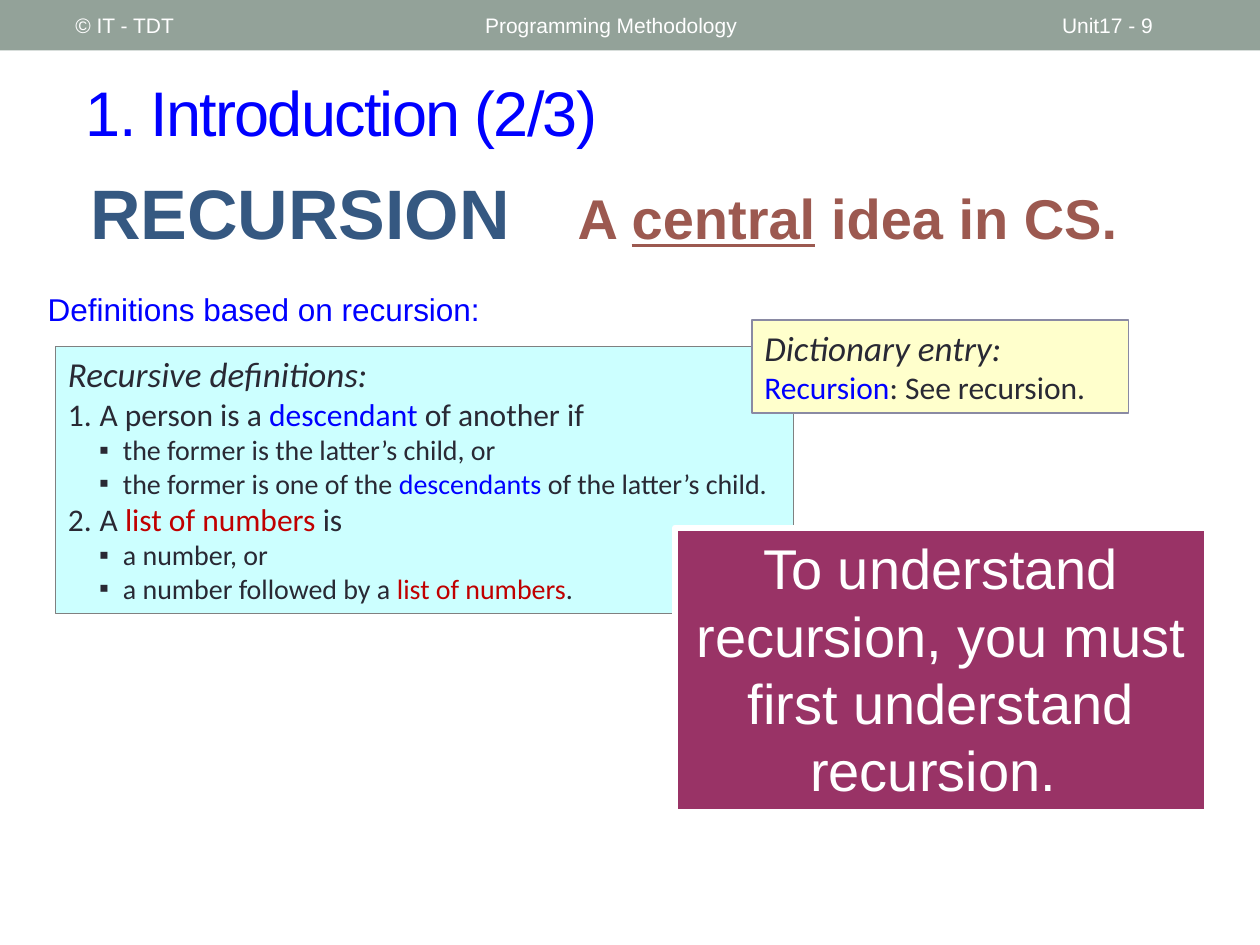
from dataclasses import dataclass

from lxml.etree import SubElement
from pptx import Presentation
from pptx.dml.color import RGBColor
from pptx.enum.shapes import MSO_SHAPE
from pptx.enum.text import MSO_ANCHOR, PP_ALIGN
from pptx.oxml.ns import qn
from pptx.util import Cm, Pt


@dataclass(frozen=True)
class Theme:
    heading: str = "Arial"
    body: str = "Calibri"
    white: str = "FFFFFF"
    bar: str = "93A299"
    blue: str = "0000FF"
    navy: str = "355881"
    brick: str = "9C5950"
    ink: str = "292934"
    red: str = "C00000"
    cyan: str = "CCFFFF"
    cyan_edge: str = "808080"
    yellow: str = "FFFFCC"
    yellow_edge: str = "8A8AA3"
    plum: str = "993366"
    header_size: int = 12
    title_size: int = 36
    topic_size: int = 40
    claim_size: int = 32
    lead_size: int = 20
    text_size: int = 18
    detail_size: int = 16


THEME = Theme()


@dataclass(frozen=True)
class Box:
    left: float
    top: float
    width: float
    height: float

    def inner(self, left, top, width, height):
        return Box(self.left + left, self.top + top, width, height)

    def lengths(self):
        return [Cm(v) for v in (self.left, self.top, self.width, self.height)]


def write(paragraph, text, size, color, font=THEME.heading, bold=False,
          italic=False, underline=False, spacing=0):
    run = paragraph.add_run()
    run.text = text
    run.font.name = font
    run.font.size = Pt(size)
    run.font.bold = bold
    run.font.italic = italic
    run.font.underline = underline
    run.font.color.rgb = RGBColor.from_string(color)
    if spacing:
        run._r.get_or_add_rPr().set("spc", str(round(spacing * 100)))


def add_panel(slide, box, fill, line=None, line_width=0.75):
    panel = slide.shapes.add_shape(MSO_SHAPE.RECTANGLE, *box.lengths())
    panel.shadow.inherit = False
    panel.fill.solid()
    panel.fill.fore_color.rgb = RGBColor.from_string(fill)
    if line:
        panel.line.color.rgb = RGBColor.from_string(line)
        panel.line.width = Pt(line_width)
    else:
        panel.line.fill.background()
    frame = panel.text_frame
    frame.word_wrap = True
    frame.vertical_anchor = MSO_ANCHOR.TOP
    frame.paragraphs[0].alignment = PP_ALIGN.LEFT
    return frame


def add_label(slide, box, anchor=MSO_ANCHOR.TOP, align=PP_ALIGN.LEFT, wrap=True):
    frame = slide.shapes.add_textbox(*box.lengths()).text_frame
    frame.word_wrap = wrap
    frame.vertical_anchor = anchor
    frame.paragraphs[0].alignment = align
    return frame.paragraphs[0]


def add_item(frame, runs, size, margin, hanging, level=0, number=None, bullet=None):
    item = frame.add_paragraph()
    item.alignment = PP_ALIGN.LEFT
    item.level = level
    properties = item._p.get_or_add_pPr()
    properties.set("marL", str(Cm(margin)))
    properties.set("indent", str(-Cm(hanging)))
    if number:
        SubElement(properties, qn("a:buFont"), typeface="+mj-lt")
        SubElement(properties, qn("a:buAutoNum"), type="arabicPeriod", startAt=str(number))
    elif bullet:
        SubElement(properties, qn("a:buFont"), typeface=THEME.heading)
        SubElement(properties, qn("a:buChar"), char=bullet)
    for text, color in runs:
        write(item, text, size, color, font=THEME.body)


def build_header(slide, box):
    add_panel(slide, box, THEME.bar)
    for text, left, width in (("© IT - TDT", 1.27, 8.05),
                              ("Programming Methodology", 9.53, 11.43),
                              ("Unit17 - 9", 21.16, 2.97)):
        label = add_label(slide, box.inner(left, 0.05, width, 0.91), MSO_ANCHOR.MIDDLE)
        write(label, text, THEME.header_size, THEME.white)


def build_title(slide, box):
    title = add_label(slide, box, MSO_ANCHOR.MIDDLE)
    write(title, "1. Introduction (2/3)", THEME.title_size, THEME.blue, spacing=-1)


def build_banner(slide, box):
    topic = add_label(slide, box.inner(0, 0, 10.52, 1.96), align=PP_ALIGN.CENTER)
    write(topic, "RECURSION", THEME.topic_size, THEME.navy, bold=True)
    claim = add_label(slide, box.inner(10.56, 0.28, 11.48, 1.63),
                      align=PP_ALIGN.CENTER, wrap=False)
    for text, underline in (("A ", False), ("central", True), (" idea in CS.", False)):
        write(claim, text, THEME.claim_size, THEME.brick, bold=True, underline=underline)


def build_definitions(slide, box):
    intro = add_label(slide, box.inner(0, 0, 19.69, 1.02))
    write(intro, "Definitions based on recursion:", THEME.text_size, THEME.blue)
    frame = add_panel(slide, box.inner(0.41, 1.27, 14.88, 5.38), THEME.cyan, THEME.cyan_edge)
    write(frame.paragraphs[0], "Recursive definitions:", THEME.lead_size, THEME.ink,
          font=THEME.body, italic=True)
    ink, blue, red = THEME.ink, THEME.blue, THEME.red
    definitions = (
        ([("A person is a ", ink), ("descendant", blue), (" of another if", ink)],
         [[("the former is the latter’s child, or", ink)],
          [("the former is one of the ", ink), ("descendants", blue),
           (" of the latter’s child.", ink)]]),
        ([("A ", ink), ("list of numbers", red), (" is", ink)],
         [[("a number, or", ink)],
          [("a number followed by a ", ink), ("list of numbers", red), (".", ink)]]),
    )
    for number, (statement, cases) in enumerate(definitions, 1):
        add_item(frame, statement, THEME.text_size, 0.64, 0.64, number=number)
        for case in cases:
            add_item(frame, case, THEME.detail_size, 1.11, 0.48, level=1, bullet="▪")


def build_slogan(slide, box):
    slogan = add_panel(slide, box, THEME.plum, THEME.white, 3.5).paragraphs[0]
    slogan.alignment = PP_ALIGN.CENTER
    write(slogan, "To understand recursion, you must first understand recursion. ",
          THEME.claim_size, THEME.white)


def build_dictionary(slide, box):
    frame = add_panel(slide, box, THEME.yellow, THEME.yellow_edge)
    write(frame.paragraphs[0], "Dictionary entry:", THEME.lead_size, THEME.ink,
          font=THEME.body, italic=True)
    add_item(frame, [("Recursion", THEME.blue), (": See recursion.", THEME.ink)],
             THEME.text_size, 0.64, 0.64)


def main():
    deck = Presentation()
    deck.slide_width, deck.slide_height = Cm(25.4), Cm(19.05)
    slide = deck.slides.add_slide(deck.slide_layouts[6])
    build_header(slide, Box(0, 0, 25.4, 1.02))
    build_title(slide, Box(1.48, 1.07, 23.29, 2.34))
    build_banner(slide, Box(0.79, 3.3, 22.04, 1.96))
    build_definitions(slide, Box(0.71, 5.72, 19.69, 6.65))
    build_slogan(slide, Box(13.61, 10.64, 10.72, 5.74))
    build_dictionary(slide, Box(15.16, 6.45, 7.59, 1.88))
    deck.save("out.pptx")


if __name__ == "__main__":
    main()
